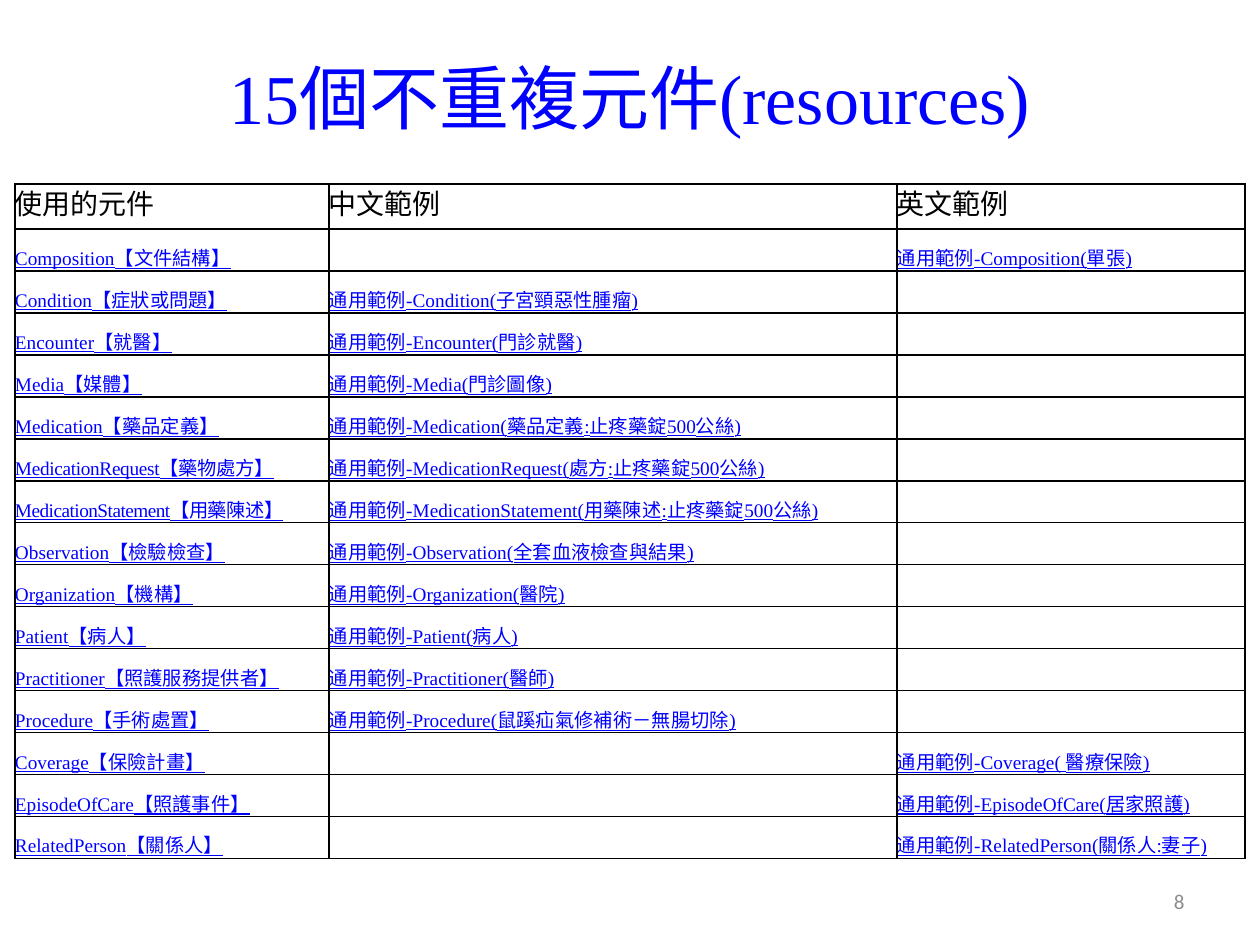
from dataclasses import dataclass

from lxml.etree import SubElement
from pptx import Presentation
from pptx.dml.color import RGBColor
from pptx.enum.text import MSO_ANCHOR, PP_ALIGN
from pptx.oxml.ns import qn
from pptx.util import Emu, Pt

BLUE = RGBColor(0x00, 0x00, 0xFF)
BLACK = RGBColor(0x00, 0x00, 0x00)
WHITE = RGBColor(0xFF, 0xFF, 0xFF)
GRAY = RGBColor(0x8C, 0x8C, 0x8C)
SERIF = "Times New Roman"

PX_PER_INCH = 126
HEADINGS = ("使用的元件", "中文範例", "英文範例")
COLUMN_WIDTHS = (314, 568, 348)
HEADING_HEIGHT, ROW_HEIGHT = 45, 42
CHINESE, ENGLISH = 1, 2  # column that holds the example

HEADING_FONT = {"name": SERIF, "size": Pt(16)}
LINK_FONT = {"name": SERIF, "size": Pt(11), "underline": True}
TITLE_FONT = {"name": SERIF, "size": Pt(40)}
NUMBER_FONT = {"name": "Calibri", "size": Pt(12)}
CELL_FORMAT = {"margin_left": 0, "margin_top": 0, "margin_right": 0,
               "margin_bottom": 0, "vertical_anchor": MSO_ANCHOR.MIDDLE}


@dataclass(frozen=True)
class Resource:
    name: str
    meaning: str
    example: str
    column: int = CHINESE
    tracking: int = 0  # hundredths of a point


RESOURCES = (
    Resource("Composition", "文件結構", "單張", ENGLISH),
    Resource("Condition", "症狀或問題", "子宮頸惡性腫瘤"),
    Resource("Encounter", "就醫", "門診就醫"),
    Resource("Media", "媒體", "門診圖像"),
    Resource("Medication", "藥品定義", "藥品定義:止疼藥錠500公絲"),
    Resource("MedicationRequest", "藥物處方", "處方:止疼藥錠500公絲", tracking=-20),
    Resource("MedicationStatement", "用藥陳述", "用藥陳述:止疼藥錠500公絲", tracking=-30),
    Resource("Observation", "檢驗檢查", "全套血液檢查與結果"),
    Resource("Organization", "機構", "醫院"),
    Resource("Patient", "病人", "病人"),
    Resource("Practitioner", "照護服務提供者", "醫師"),
    Resource("Procedure", "手術處置", "鼠蹊疝氣修補術－無腸切除"),
    Resource("Coverage", "保險計畫", " 醫療保險", ENGLISH),
    Resource("EpisodeOfCare", "照護事件", "居家照護", ENGLISH),
    Resource("RelatedPerson", "關係人", "關係人:妻子", ENGLISH),
)


def px(length: int) -> Emu:
    return Emu(round(length * 914400 / PX_PER_INCH))


def apply(target, formats: dict) -> None:
    for attribute, value in formats.items():
        setattr(target, attribute, value)


def write(paragraph, text: str, font: dict, color: RGBColor, spacing=None):
    run = paragraph.add_run()
    run.text = text
    apply(run.font, font)
    run.font.color.rgb = color
    paragraph.line_spacing = spacing
    return run


def format_cell(cell) -> None:
    """Give the cell 1 pt black borders, a white fill and no margins."""
    apply(cell, CELL_FORMAT)
    properties = cell._tc.get_or_add_tcPr()
    for side in ("a:lnL", "a:lnR", "a:lnT", "a:lnB"):
        border = SubElement(properties, qn(side), w=str(Pt(1)))
        fill = SubElement(border, qn("a:solidFill"))
        SubElement(fill, qn("a:srgbClr"), val=str(BLACK))
    cell.fill.solid()
    cell.fill.fore_color.rgb = WHITE


def add_title(slide) -> None:
    title = slide.shapes.title
    apply(title, {"left": px(63), "top": px(15), "width": px(1134), "height": px(158)})
    title.text_frame.vertical_anchor = MSO_ANCHOR.MIDDLE
    paragraph = title.text_frame.paragraphs[0]
    paragraph.alignment = PP_ALIGN.CENTER
    write(paragraph, "15個不重複元件(resources)", TITLE_FONT, BLUE, 1.05)


def add_resource_table(slide) -> None:
    height = HEADING_HEIGHT + ROW_HEIGHT * len(RESOURCES)
    table = slide.shapes.add_table(len(RESOURCES) + 1, len(HEADINGS), px(15), px(184),
                                   px(sum(COLUMN_WIDTHS)), px(height)).table
    for column, width in zip(table.columns, COLUMN_WIDTHS):
        column.width = px(width)
    for row in table.rows:
        row.height = px(ROW_HEIGHT)
    table.rows[0].height = px(HEADING_HEIGHT)
    for cell in table.iter_cells():
        format_cell(cell)

    for column, heading in enumerate(HEADINGS):
        paragraph = table.cell(0, column).text_frame.paragraphs[0]
        write(paragraph, heading, HEADING_FONT, BLACK, Pt(18))
    for row, resource in enumerate(RESOURCES, start=1):
        name = write(table.cell(row, 0).text_frame.paragraphs[0],
                     f"{resource.name}【{resource.meaning}】", LINK_FONT, BLUE, 1.5)
        if resource.tracking:
            name.font._element.set("spc", str(resource.tracking))
        write(table.cell(row, resource.column).text_frame.paragraphs[0],
              f"通用範例-{resource.name}({resource.example})", LINK_FONT, BLUE, 1.5)


def add_page_number(slide) -> None:
    frame = slide.shapes.add_textbox(px(903), px(876), px(294), px(50)).text_frame
    apply(frame, {"word_wrap": True, "vertical_anchor": MSO_ANCHOR.MIDDLE})
    paragraph = frame.paragraphs[0]
    paragraph.alignment = PP_ALIGN.RIGHT
    write(paragraph, "8", NUMBER_FONT, GRAY)


def main() -> None:
    presentation = Presentation()
    apply(presentation, {"slide_width": px(1260), "slide_height": px(945)})
    slide = presentation.slides.add_slide(presentation.slide_layouts[5])
    add_page_number(slide)
    add_title(slide)
    add_resource_table(slide)
    presentation.save("out.pptx")


if __name__ == "__main__":
    main()
